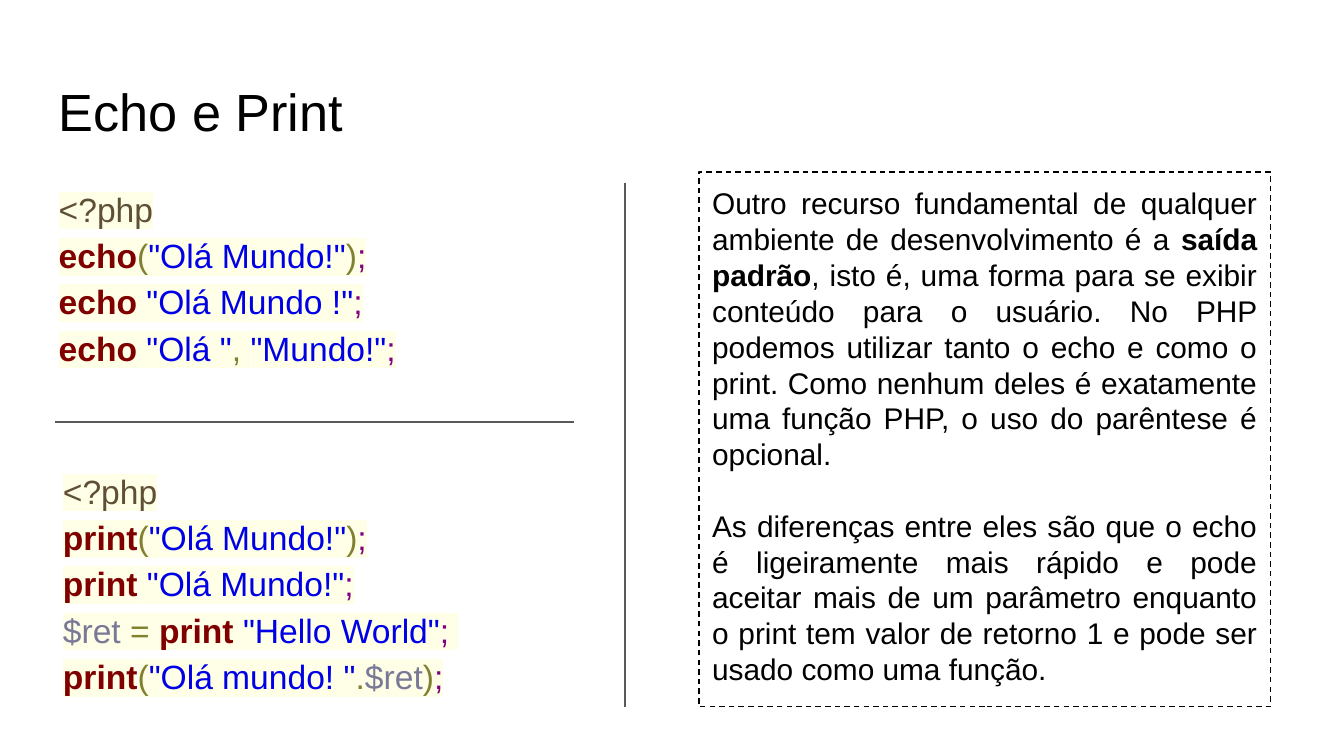
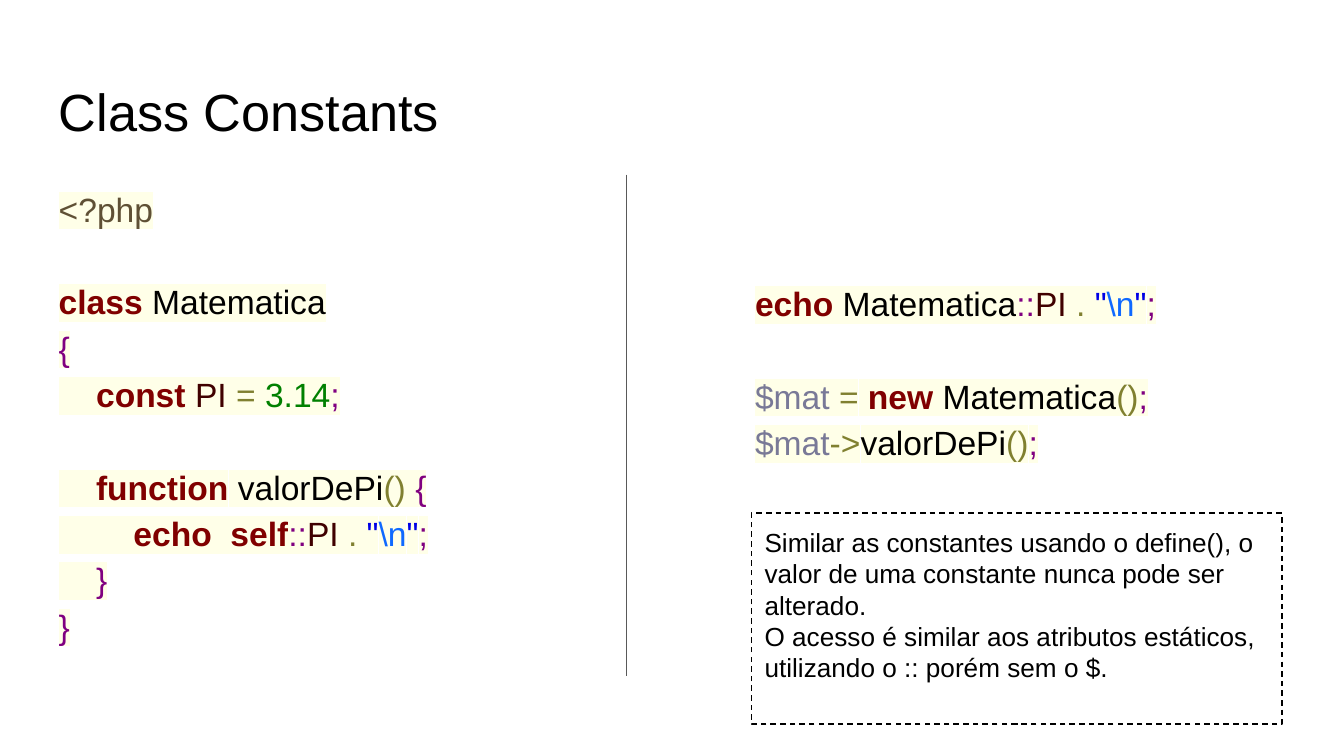
from copy import deepcopy

from lxml import etree
from pptx import Presentation
from pptx.dml.color import RGBColor
from pptx.enum.dml import MSO_LINE
from pptx.enum.shapes import MSO_CONNECTOR, MSO_SHAPE
from pptx.enum.text import MSO_ANCHOR, MSO_AUTO_SIZE, PP_ALIGN
from pptx.oxml.ns import qn
from pptx.util import Cm, Pt

DASH = MSO_LINE.DASH
STRAIGHT = MSO_CONNECTOR.STRAIGHT
RECTANGLE = MSO_SHAPE.RECTANGLE
TOP, MIDDLE = MSO_ANCHOR.TOP, MSO_ANCHOR.MIDDLE
LEFT, JUSTIFY = PP_ALIGN.LEFT, PP_ALIGN.JUSTIFY
NO_AUTOFIT = MSO_AUTO_SIZE.NONE

TITLE_AND_CONTENT, TWO_CONTENT = 1, 3
KEYWORDS = {"echo", "print", "class", "const", "function", "self", "new"}
TOKEN_COLORS = {
    "<?php": "5F5035", "PI": "400000", "3.14": "008000", r"\n": "0F69FF",
    **dict.fromkeys(KEYWORDS, "800000"),
    **dict.fromkeys(("(", ")", "()", "=", ".", ",", "->"), "808030"),
    **dict.fromkeys((";", "{", "}", "::"), "800080"),
}


def color(hex_value):
    return RGBColor.from_string(hex_value)


def token_color(token):
    if token.startswith('"'):
        return "0000E6"
    if token.startswith("$"):
        return "797997"
    return TOKEN_COLORS.get(token, Deck.BLACK)


class Deck:
    FONT = "Arial"
    BLACK = "000000"
    RULE = "595959"
    HIGHLIGHT = "FFFFE8"
    CODE_SIZE = 18
    INSET = Cm(0.25)
    LINE_WIDTH = Pt(0.75)

    def __init__(self):
        self.presentation = Presentation()
        self.presentation.slide_width = Cm(25.4)
        self.presentation.slide_height = Cm(14.29)
        self.slide = None

    def add_slide(self, layout, title):
        layouts = self.presentation.slide_layouts
        self.slide = self.presentation.slides.add_slide(layouts[layout])
        shape = self.slide.shapes.title
        self.place(shape, 0.86, 1.24, 23.67, 1.6)
        paragraph = self.prepare_frame(shape).paragraphs[0]
        paragraph.alignment = LEFT
        self.add_run(paragraph, title, 28)

    def place(self, shape, left, top, width, height):
        shape.left, shape.top = Cm(left), Cm(top)
        shape.width, shape.height = Cm(width), Cm(height)

    def prepare_frame(self, shape, anchor=TOP):
        frame = shape.text_frame
        frame.word_wrap = True
        frame.auto_size = NO_AUTOFIT
        frame.vertical_anchor = anchor
        frame.margin_left = frame.margin_right = self.INSET
        frame.margin_top = frame.margin_bottom = self.INSET
        return frame

    def add_run(self, paragraph, text, size, hex_value=BLACK, bold=False):
        run = paragraph.add_run()
        run.text = text
        run.font.name = self.FONT
        run.font.size = Pt(size)
        run.font.bold = bold
        run.font.color.rgb = color(hex_value)
        return run

    def add_code_run(self, paragraph, token):
        run = self.add_run(paragraph, token, self.CODE_SIZE, token_color(token), token in KEYWORDS)
        properties = run.font._element
        highlight = etree.Element(qn("a:highlight"))
        etree.SubElement(highlight, qn("a:srgbClr"), val=self.HIGHLIGHT)
        properties.find(qn("a:solidFill")).addnext(highlight)
        return properties

    def fill_code(self, shape, lines, anchor=TOP):
        """Write code lines whose tokens are separated by bars."""
        paragraph = self.prepare_frame(shape, anchor).paragraphs[0]
        paragraph_properties = paragraph._p.get_or_add_pPr()
        paragraph_properties.set("marL", "0")
        paragraph_properties.set("indent", "0")
        etree.SubElement(paragraph_properties, qn("a:buNone"))
        paragraph.alignment = LEFT
        paragraph.line_spacing = 1.15
        paragraph.space_before = Pt(0)
        properties = None
        for number, line in enumerate(lines):
            if number:
                paragraph.add_line_break()
                paragraph._p[-1].append(deepcopy(properties))
            for token in line.split("|") if line else ():
                properties = self.add_code_run(paragraph, token)

    def add_code_body(self, index, box, lines):
        shape = self.slide.placeholders[index]
        self.place(shape, *box)
        self.fill_code(shape, lines)

    def add_code_box(self, box, lines):
        shape = self.slide.shapes.add_textbox(*map(Cm, box))
        self.fill_code(shape, lines, MIDDLE)

    def add_note(self, box, paragraphs, size, alignment=LEFT, gap=0):
        """Draw a dashed frame; each paragraph is a list of (text, bold)."""
        shape = self.slide.shapes.add_shape(RECTANGLE, *map(Cm, box))
        shape.shadow.inherit = False
        shape.fill.background()
        shape.line.color.rgb = color(self.BLACK)
        shape.line.width = self.LINE_WIDTH
        shape.line.dash_style = DASH
        frame = self.prepare_frame(shape)
        for number, runs in enumerate(paragraphs):
            paragraph = frame.add_paragraph() if number else frame.paragraphs[0]
            paragraph.alignment = alignment
            paragraph.space_before = Pt(gap if number else 0)
            for text, bold in runs:
                self.add_run(paragraph, text, size, bold=bold)

    def add_rule(self, *ends):
        connector = self.slide.shapes.add_connector(STRAIGHT, *map(Cm, ends))
        connector.line.color.rgb = color(self.RULE)
        connector.line.width = self.LINE_WIDTH
        etree.SubElement(connector._element.spPr, qn("a:effectLst"))


def build_echo_and_print(deck):
    deck.add_slide(TWO_CONTENT, "Echo e Print")
    deck.add_code_body(1, (0.86, 3.2, 10.08, 5.61), [
        "<?php",
        'echo|(|"Olá Mundo!"|)|;',
        'echo| |"Olá Mundo !"|;',
        'echo| |"Olá "|,| |"Mundo!"|;',
    ])
    deck.add_code_body(2, (0.94, 8.53, 10.8, 6.32), [
        "<?php",
        'print|(|"Olá Mundo!"|)|;',
        'print| |"Olá Mundo!"|;',
        '$ret| |=| |print| |"Hello World"|;| ',
        'print|(|"Olá mundo! "|.|$ret|)|;',
    ])
    deck.add_note((13.21, 3.25, 10.8, 10.11), [
        [
            ("Outro recurso fundamental de qualquer ambiente de "
             "desenvolvimento é a ", False),
            ("saída padrão", True),
            (", isto é, uma forma para se exibir conteúdo para o usuário. "
             "No PHP podemos utilizar tanto o echo e como o print. Como "
             "nenhum deles é exatamente uma função PHP, o uso do parêntese "
             "é opcional.", False),
        ],
        [
            ("As diferenças entre eles são que o echo é ligeiramente mais "
             "rápido e pode aceitar mais de um parâmetro enquanto o print "
             "tem valor de retorno 1 e pode ser usado como uma função.", False),
        ],
    ], 16, JUSTIFY, gap=19.2)
    deck.add_rule(1.04, 7.98, 10.85, 7.98)
    deck.add_rule(11.81, 3.45, 11.81, 13.36)


def build_class_constants(deck):
    deck.add_slide(TITLE_AND_CONTENT, "Class Constants")
    deck.add_code_body(1, (0.86, 3.2, 9.14, 9.5), [
        "<?php",
        "",
        "class| Matematica",
        "{",
        "    |const| |PI| |=| |3.14|;",
        "",
        "    |function| valorDePi|()| |{",
        r'        |echo|  |self|::|PI| |.| |"|\n|"|;',
        "    |}",
        "}",
    ])
    deck.add_code_box((14.02, 2.82, 8.33, 8.33), [
        r'echo| Matematica|::|PI| |.| |"|\n|"|;',
        "",
        "$mat| |=| |new| Matematica|()|;",
        "$mat|->|valorDePi|()|;",
    ])
    deck.add_rule(11.84, 3.3, 11.84, 12.78)
    deck.add_note((14.2, 9.7, 10.03, 3.99), [
        [("Similar as constantes usando o define(), o valor de uma "
          "constante nunca pode ser alterado.", False)],
        [("O acesso é similar aos atributos estáticos, utilizando o :: "
          "porém sem o $.", False)],
    ], 14)


def main():
    deck = Deck()
    build_echo_and_print(deck)
    build_class_constants(deck)
    deck.presentation.save("out.pptx")


if __name__ == "__main__":
    main()
